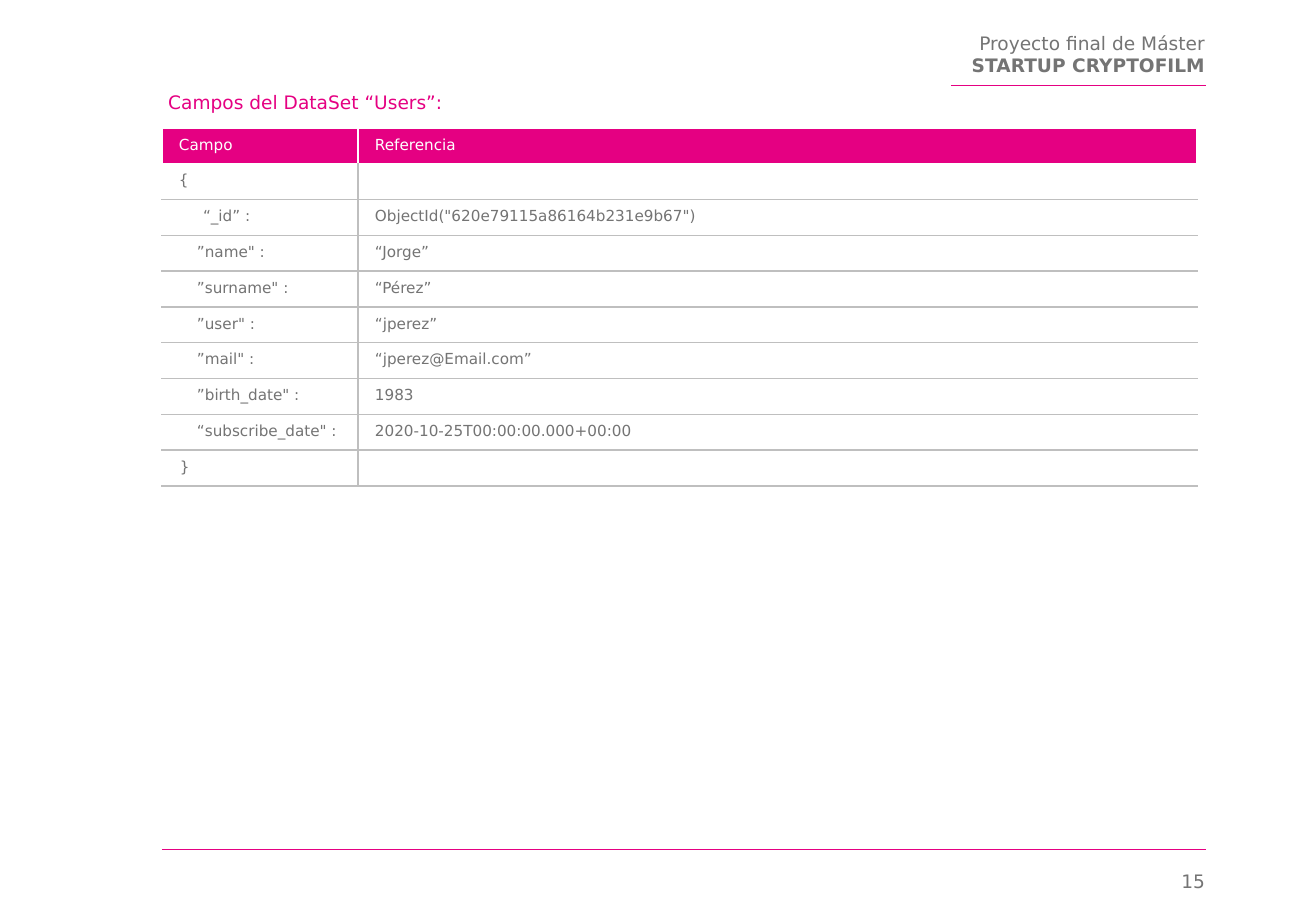
"""Build the slide that lists the fields of the Users data set."""
from lxml.etree import SubElement
from pptx import Presentation
from pptx.dml.color import RGBColor
from pptx.enum.shapes import MSO_CONNECTOR
from pptx.enum.text import MSO_ANCHOR, PP_ALIGN
from pptx.oxml.ns import qn
from pptx.util import Pt

PX = 7526
FONT = "DejaVu Sans"
PINK, GREY, RULE, WHITE = "E50082", "747474", "BFBFBF", "FFFFFF"


def rgb(value):
    return RGBColor.from_string(value)


def write(text_frame, text, size, color, align=PP_ALIGN.LEFT):
    text_frame.text = text
    for paragraph in text_frame.paragraphs:
        paragraph.alignment = align
        for run in paragraph.runs:
            run.font.name = FONT
            run.font.size = Pt(size)
            run.font.color.rgb = rgb(color)


presentation = Presentation()
presentation.slide_width = 1316 * PX
presentation.slide_height = 911 * PX
slide = presentation.slides.add_slide(presentation.slide_layouts[5])

title = slide.shapes.title
title.left, title.top, title.width, title.height = 156 * PX, 85 * PX, 1064 * PX, 35 * PX
title.text_frame.vertical_anchor = MSO_ANCHOR.TOP
write(title.text_frame, "Campos del DataSet “Users”:", 11, PINK)

for text, top, height in [
    ("Proyecto final de Máster\nSTARTUP CRYPTOFILM", 26, 57),
    ("15", 864, 36),
]:
    box = slide.shapes.add_textbox(153 * PX, top * PX, 1064 * PX, height * PX)
    box.text_frame.word_wrap = True
    write(box.text_frame, text, 11, GREY, PP_ALIGN.RIGHT)
    for paragraph in box.text_frame.paragraphs[1:]:
        paragraph.runs[0].font.bold = True

for left, y in [(951, 85), (162, 849)]:
    line = slide.shapes.add_connector(
        MSO_CONNECTOR.STRAIGHT, left * PX, y * PX, 1206 * PX, y * PX)
    line.line.color.rgb = rgb(PINK)
    line.line.width = Pt(0.5)
    SubElement(line._element.spPr, qn("a:effectLst"))

fields = [
    ("Campo", "Referencia", 0),
    ("{", "", 0),
    ("“_id” :", 'ObjectId("620e79115a86164b231e9b67")', 24),
    ('”name" :', "“Jorge”", 18),
    ('”surname" :', "“Pérez”", 18),
    ('”user" :', "“jperez”", 18),
    ('”mail" :', "“jperez@Email.com”", 18),
    ('”birth_date" :', "1983", 18),
    ('“subscribe_date" :', "2020-10-25T00:00:00.000+00:00", 18),
    ("}", "", 1),
]
table = slide.shapes.add_table(
    len(fields), 2, 162 * PX, 128 * PX, 1035 * PX, 358 * PX).table
table.columns[0].width = 196 * PX
table.columns[1].width = 839 * PX

for row, (field, reference, indent) in enumerate(fields):
    for column, text in enumerate((field, reference)):
        cell = table.cell(row, column)
        cell.margin_left = cell.margin_right = 17 * PX
        cell.margin_top = cell.margin_bottom = 8 * PX
        write(cell.text_frame, text, 9, GREY if row else WHITE)
        paragraph = cell.text_frame.paragraphs[0]
        if column == 0:
            paragraph._p.get_or_add_pPr().set("marL", str(indent * PX))
        if not text:
            SubElement(paragraph._p, qn("a:endParaRPr"), sz="900")
        ruled = {
            "L": row > 0 and column == 1,
            "R": row > 0 and column == 0,
            "T": row > 1,
            "B": row > 0,
        }
        properties = cell._tc.get_or_add_tcPr()
        for side, is_ruled in ruled.items():
            border = SubElement(properties, qn(f"a:ln{side}"), w=str(Pt(1)))
            fill = SubElement(border, qn("a:solidFill"))
            SubElement(fill, qn("a:srgbClr"), val=RULE if is_ruled else WHITE)
        cell.fill.solid()
        cell.fill.fore_color.rgb = rgb(WHITE if row else PINK)

presentation.save("out.pptx")
